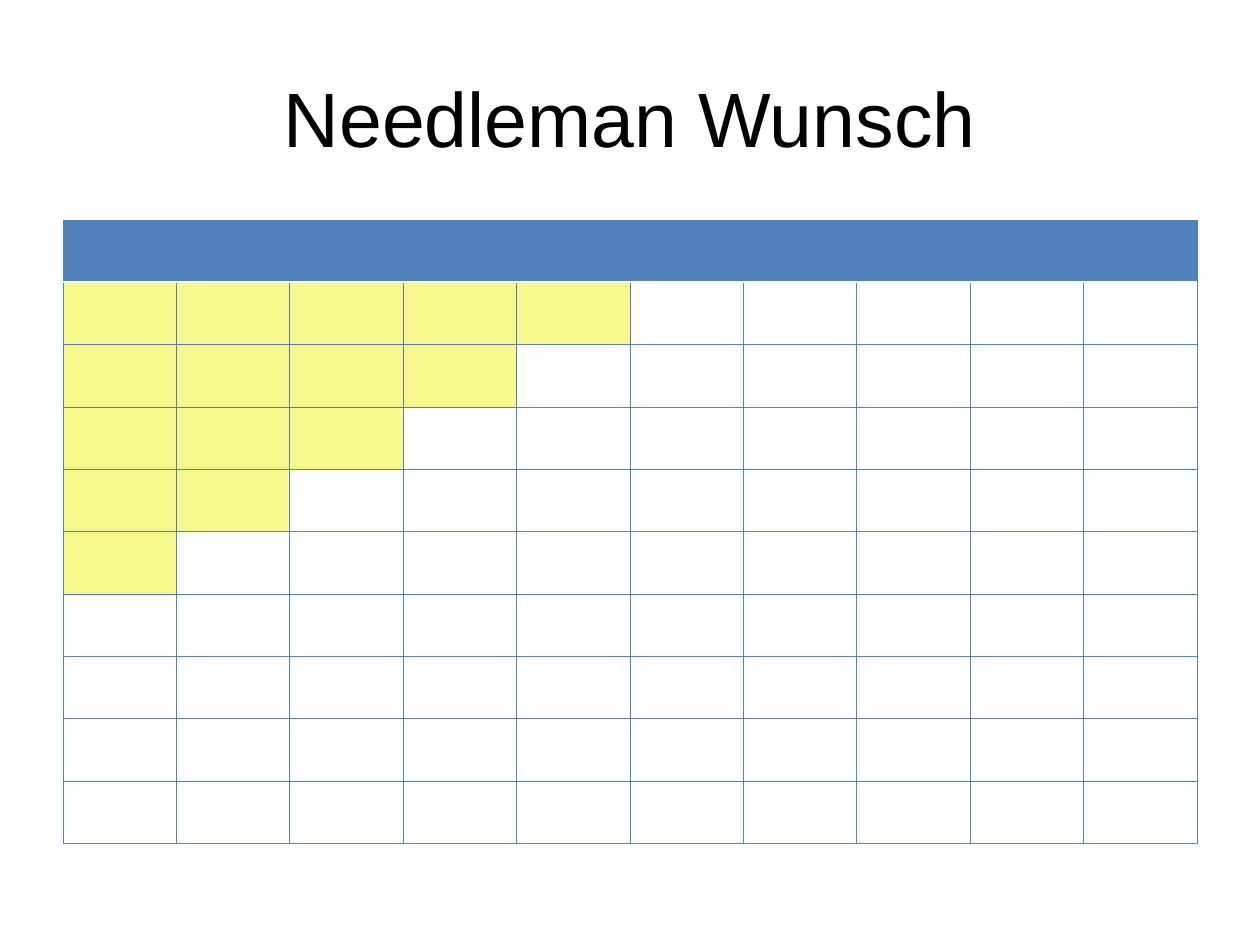
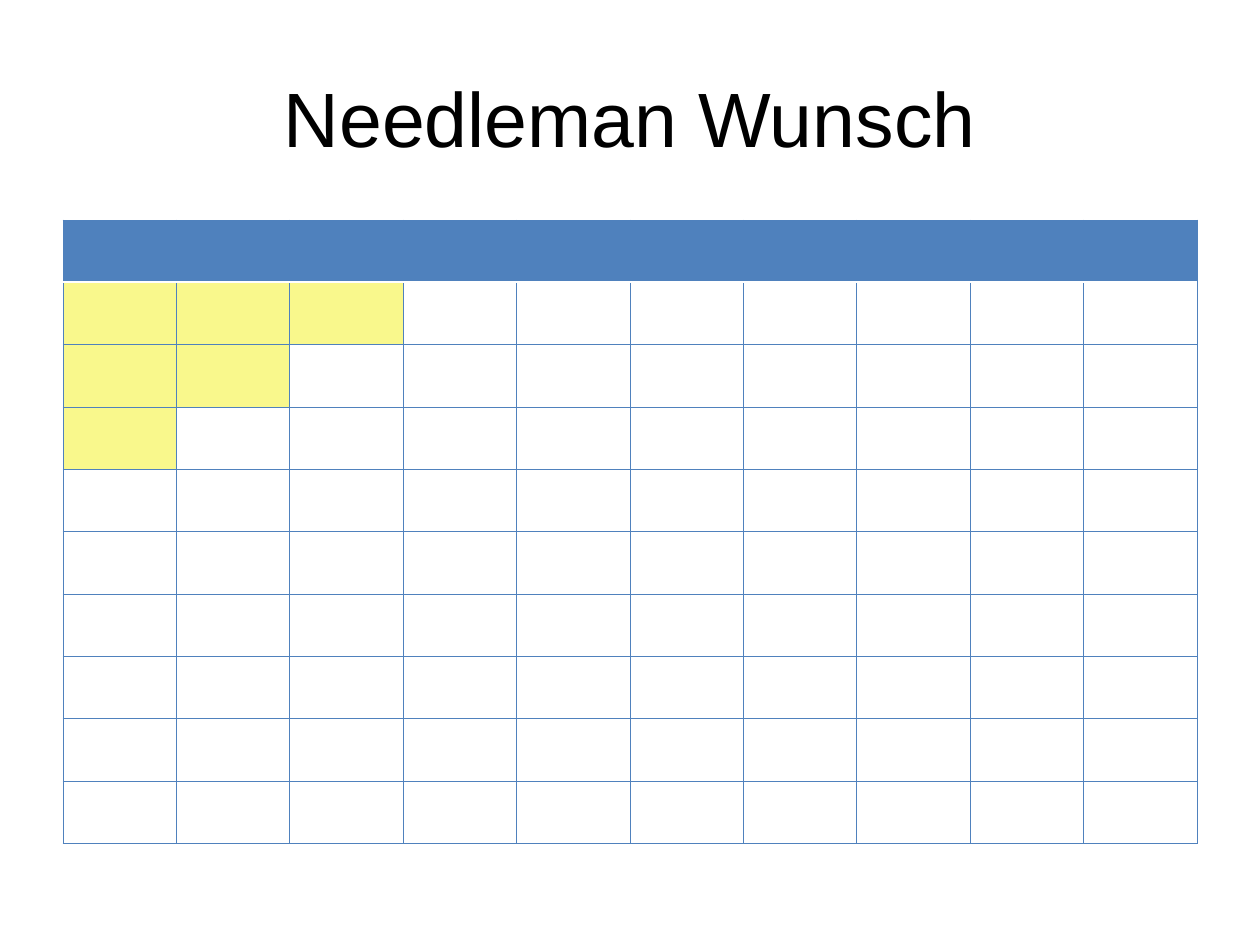
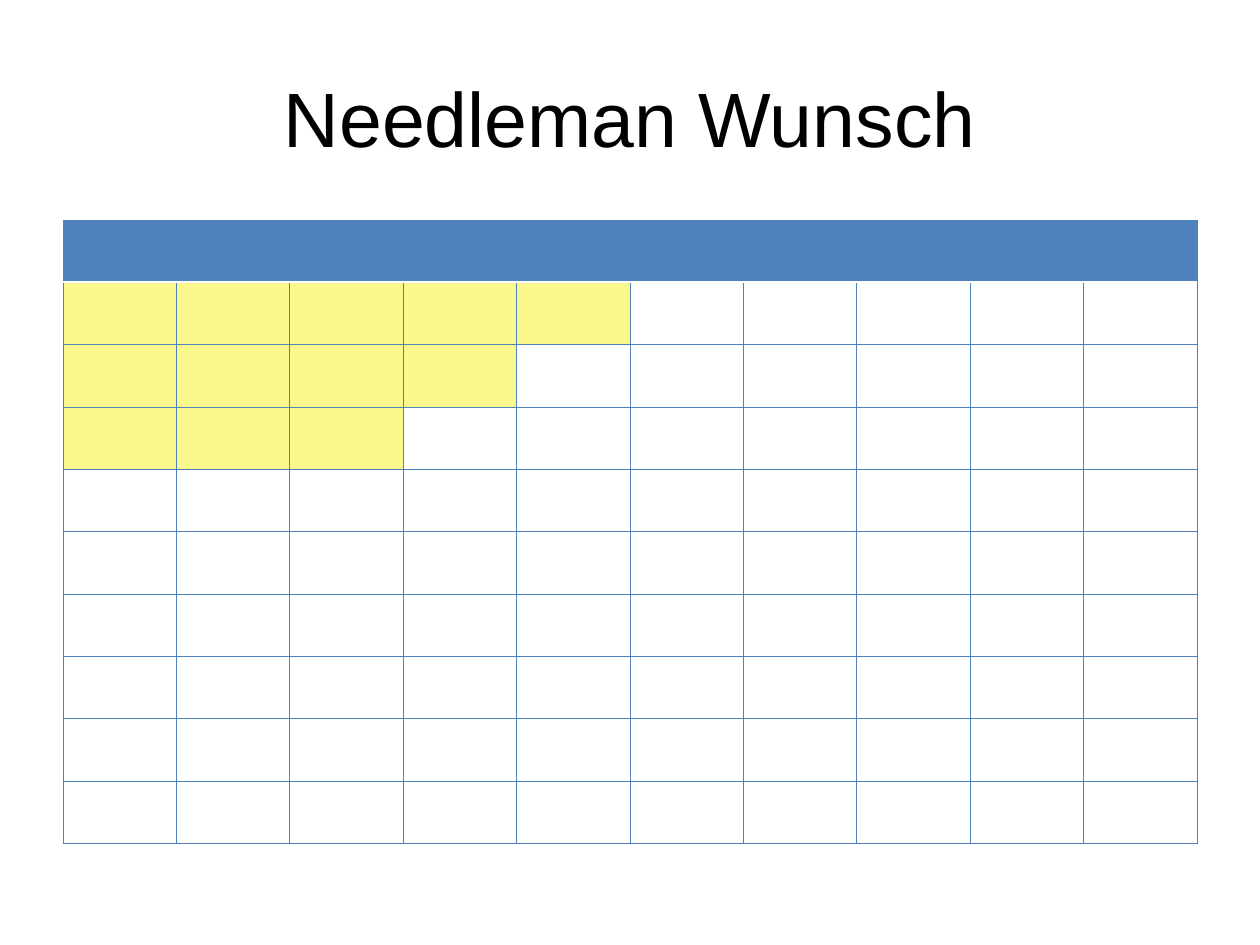
"""Build three Needleman Wunsch slides, each with a partly filled alignment matrix."""
from lxml import etree
from pptx import Presentation, util as u
from pptx.dml.color import RGBColor
from pptx.enum import text
from pptx.oxml.ns import qn

TITLE = "Needleman Wunsch"
FILLED_CELLS_BY_ROW = [
    [5, 4, 3, 2, 1],
    [3, 2, 1],
    [5, 4, 3],
]

FONT = "Arial"
BLACK, WHITE, BLUE, YELLOW = "000000", "FFFFFF", "4F81BD", "F9F88C"
GRID_LINE = (BLUE, 0.45)
HEADER_LINE = (WHITE, 1.47)

PX_PER_INCH = 126
SLIDE_SIZE = (1260, 945)
TITLE_BOX = (63, 38, 1134, 157)
MATRIX_BOX = (63, 220, 1134, 624)
MATRIX_SIZE = 10


def px(length):
    return u.Emu(round(length * u.Inches(1) / PX_PER_INCH))


def color(hex_string):
    return RGBColor.from_string(hex_string)


def add_title(slide):
    title = slide.shapes.title
    title.left, title.top, title.width, title.height = map(px, TITLE_BOX)
    frame = title.text_frame
    frame.word_wrap = True
    frame.vertical_anchor = text.MSO_ANCHOR.MIDDLE
    paragraph = frame.paragraphs[0]
    paragraph.alignment = text.PP_ALIGN.CENTER
    run = paragraph.add_run()
    run.text = TITLE
    run.font.size = u.Pt(44)
    run.font.name = FONT
    run.font.color.rgb = color(BLACK)


def set_border(cell, side, line):
    line_color, points = line
    properties = cell._tc.get_or_add_tcPr()
    border = etree.SubElement(properties, qn(f"a:ln{side}"), w=str(u.Pt(points)))
    fill = etree.SubElement(border, qn("a:solidFill"))
    etree.SubElement(fill, qn("a:srgbClr"), val=line_color)


def format_cell(cell, row, fill_color):
    set_border(cell, "L", GRID_LINE)
    set_border(cell, "R", GRID_LINE)
    set_border(cell, "T", HEADER_LINE if row == 1 else GRID_LINE)
    set_border(cell, "B", HEADER_LINE if row == 0 else GRID_LINE)
    if fill_color:
        cell.fill.solid()
        cell.fill.fore_color.rgb = color(fill_color)
    else:
        cell.fill.background()


def add_matrix(slide, filled_cells):
    box = map(px, MATRIX_BOX)
    table = slide.shapes.add_table(MATRIX_SIZE, MATRIX_SIZE, *box).table
    table.horz_banding = False
    for row in range(MATRIX_SIZE):
        filled = filled_cells[row - 1] if 1 <= row <= len(filled_cells) else 0
        for column in range(MATRIX_SIZE):
            fill_color = BLUE if row == 0 else YELLOW if column < filled else None
            format_cell(table.cell(row, column), row, fill_color)


def main():
    presentation = Presentation()
    presentation.slide_width, presentation.slide_height = map(px, SLIDE_SIZE)
    title_only = presentation.slide_layouts.get_by_name("Title Only")
    for filled_cells in FILLED_CELLS_BY_ROW:
        slide = presentation.slides.add_slide(title_only)
        add_title(slide)
        add_matrix(slide, filled_cells)
    presentation.save("out.pptx")


if __name__ == "__main__":
    main()
